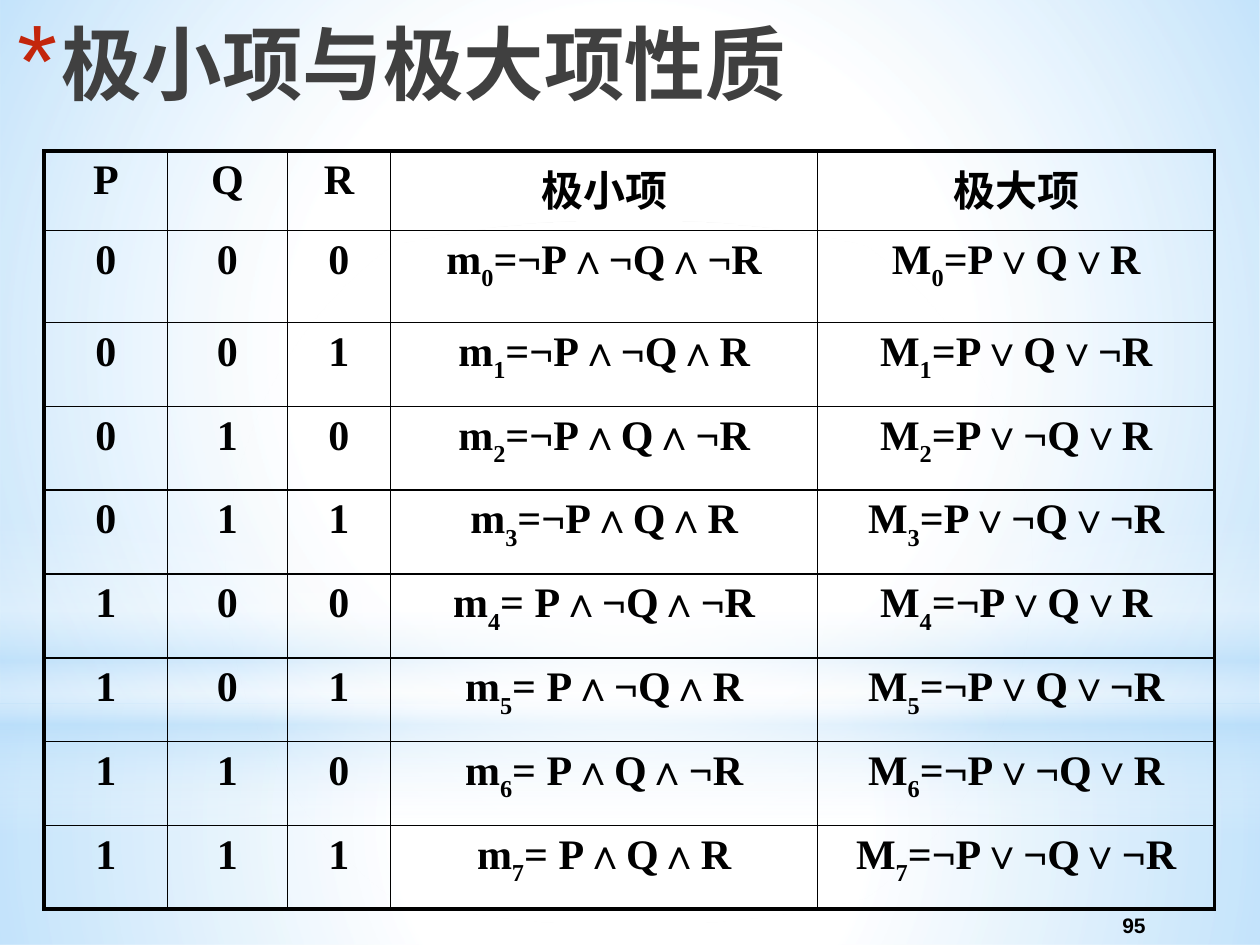
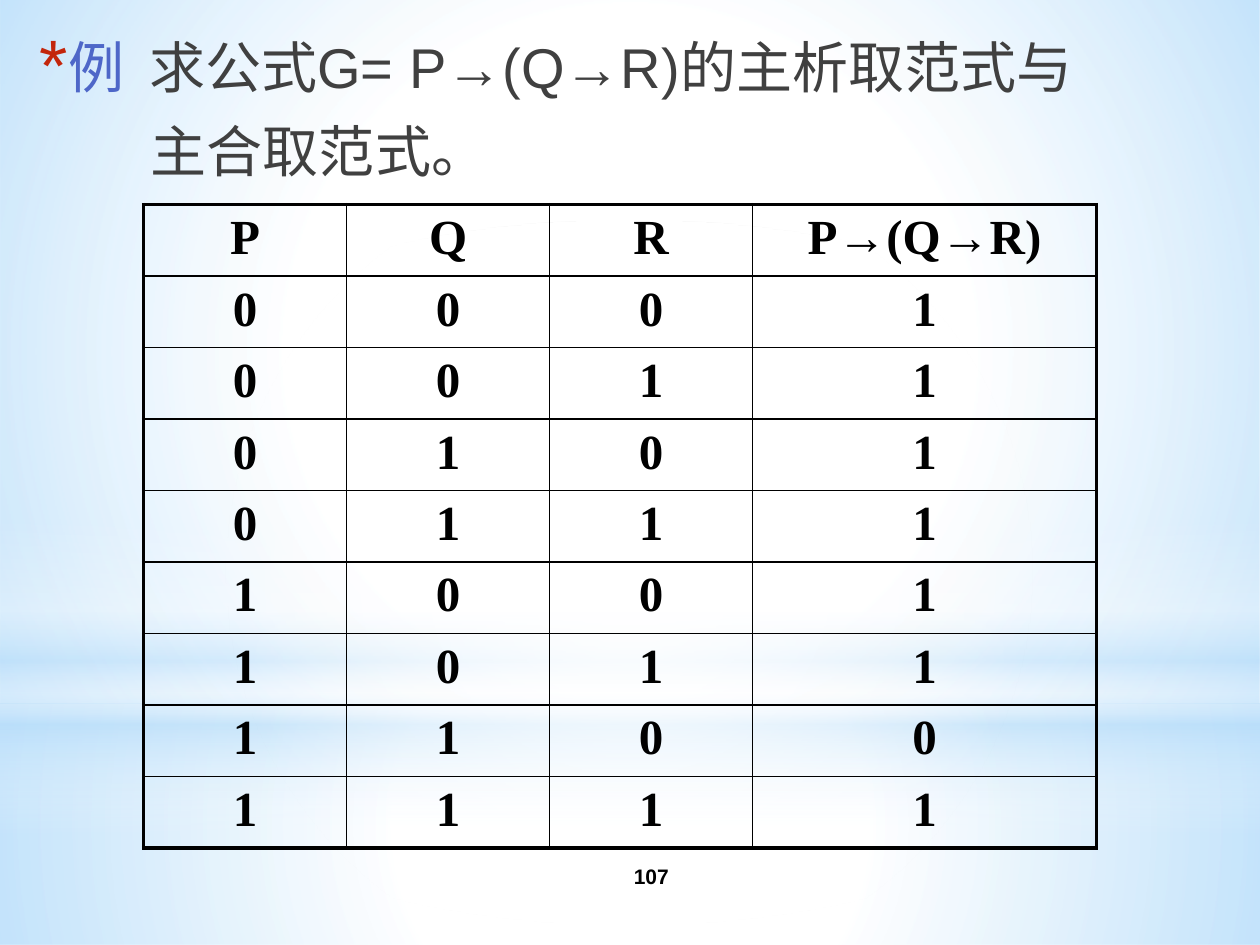
from itertools import product

from pptx import Presentation
from pptx.dml.color import RGBColor
from pptx.enum.shapes import MSO_SHAPE
from pptx.enum.text import MSO_ANCHOR, PP_ALIGN
from pptx.oxml import parse_xml
from pptx.oxml.ns import nsdecls, qn
from pptx.util import Pt

RECT, OVAL = MSO_SHAPE.RECTANGLE, MSO_SHAPE.OVAL
MIDDLE, CENTER = MSO_ANCHOR.MIDDLE, PP_ALIGN.CENTER

BLACK, GRAY, BLUE, RED = "000000", "404040", "4E67C8", "C3260C"
WHITE, SKY = "FFFFFF", "B4DCFA"
SANS, SERIF = "Arial", "Times New Roman"
THICK, THIN = 2.25, 1

RADIAL = '<a:path path="circle"><a:fillToRect l="50000" t="50000" r="50000" b="50000"/></a:path>'
VERTICAL = '<a:lin ang="5400000" scaled="0"/>'
BANDS = [
    (RECT, (0, 401.8, 720, 138.2), RADIAL, [(0, WHITE, 91), (37, WHITE, 76), (100, SKY, 79)]),
    (RECT, (0, 0, 720, 401.8), RADIAL, [(0, WHITE, 89), (48, WHITE, 62), (100, SKY, 79)]),
    (RECT, (0, 296.6, 720, 180), VERTICAL,
     [(0, WHITE, 0), (29, WHITE, 30), (45, SKY, 40), (55, WHITE, 26), (65, SKY, 60), (100, WHITE, 0)]),
    (OVAL, (0, 126, 720, 401.8), RADIAL, [(0, WHITE, 100), (56, WHITE, 0)]),
]

VARIABLES = ["P", "Q", "R"]
VALUATIONS = list(product((0, 1), repeat=3))
TERMS_TITLE = "极小项与极大项性质"
TERMS_HEADER = VARIABLES + ["极小项", "极大项"]
TERMS_COLUMNS = [70.6, 68.4, 59, 244.1, 226.8]
TERMS_HEIGHTS = [45.4, 52.6] + [47.9] * 7
EXAMPLE_LABEL = "例 "
EXAMPLE_LINES = ["求公式G= P→(Q→R)的主析取范式与", "主合取范式。"]
TRUTH_HEADER = VARIABLES + ["P→(Q→R)"]
TRUTH_COLUMNS = [116] * 3 + [196.4]
TRUTH_HEIGHTS = [40.8] * 9


def rgb(color):
    return RGBColor.from_string(color)


def add_span(para, text, size, color, font=SANS, bold=False):
    span = para.add_run()
    span.text = text
    span.font.name = font
    span.font.size = Pt(size)
    span.font.bold = bold
    span.font.color.rgb = rgb(color)
    return span


def add_box(page, left, top, width, height):
    box = page.shapes.add_textbox(Pt(left), Pt(top), Pt(width), Pt(height))
    box.text_frame.word_wrap = True
    return box.text_frame


def set_indent(para, margin, first_line=0):
    props = para._p.get_or_add_pPr()
    props.set("marL", str(Pt(margin)))
    props.set("indent", str(Pt(first_line)))
    return props


def add_star(para, margin, hanging, percent):
    props = set_indent(para, margin, -hanging)
    for inner in (
        f'<a:buClr {nsdecls("a")}><a:srgbClr val="{RED}"/></a:buClr>',
        f'<a:buSzPct {nsdecls("a")} val="{percent * 1000}"/>',
        f'<a:buFont {nsdecls("a")} typeface="{SANS}"/>',
        f'<a:buChar {nsdecls("a")} char="*"/>',
    ):
        props.append(parse_xml(inner))


def add_band(page, kind, place, direction, stops):
    band = page.shapes.add_shape(kind, *map(Pt, place))
    band.shadow.inherit = False
    band.line.fill.background()
    band.fill.solid()
    marks = "".join(
        f'<a:gs pos="{position * 1000}"><a:srgbClr val="{color}">'
        f'<a:alpha val="{opacity * 1000}"/></a:srgbClr></a:gs>'
        for position, color, opacity in stops
    )
    gradient = parse_xml(
        f'<a:gradFill {nsdecls("a")} rotWithShape="1"><a:gsLst>{marks}</a:gsLst>{direction}</a:gradFill>'
    )
    props = band._element.spPr
    props.replace(props.find(qn("a:solidFill")), gradient)


def add_page(deck, number, number_left, number_top):
    page = deck.slides.add_slide(deck.slide_layouts[6])
    for band in BANDS:
        add_band(page, *band)
    frame = add_box(page, number_left, number_top, 144, 28.8)
    frame.vertical_anchor = MIDDLE
    para = frame.paragraphs[0]
    para.alignment = CENTER
    add_span(para, str(number), 12, BLACK, bold=True)
    return page


def set_borders(cell, widths):
    props = cell._tc.get_or_add_tcPr()
    for side, width in zip("LRTB", widths):
        props.append(parse_xml(
            f'<a:ln{side} {nsdecls("a")} w="{Pt(width)}"><a:solidFill>'
            f'<a:srgbClr val="{BLACK}"/></a:solidFill></a:ln{side}>'
        ))


def add_grid(page, left, top, columns, heights, rows, size):
    frame = page.shapes.add_table(
        len(heights), len(columns), Pt(left), Pt(top), Pt(sum(columns)), Pt(sum(heights))
    )
    table = frame.table
    table.first_row = table.horz_banding = False
    for column, width in zip(table.columns, columns):
        column.width = Pt(width)
    for row, height in zip(table.rows, heights):
        row.height = Pt(height)
    last_row, last_column = len(heights) - 1, len(columns) - 1
    for r, row in enumerate(rows):
        for c, content in enumerate(row):
            cell = table.cell(r, c)
            outer = (c == 0, c == last_column, r == 0, r == last_row)
            set_borders(cell, [THICK if edge else THIN for edge in outer])
            cell.fill.background()
            para = cell.text_frame.paragraphs[0]
            para.alignment = CENTER
            parts = content if isinstance(content, tuple) else (content,)
            for index, text in enumerate(parts):
                span = add_span(para, str(text), size, BLACK, SERIF, True)
                if index == 1:
                    span.font._element.set("baseline", "-30000")


def join_literals(bits, negated_bit, operator):
    return operator.join(
        "¬" + name if bit == negated_bit else name for name, bit in zip(VARIABLES, bits)
    )


def term_row(index, bits):
    equals = "= " if bits[0] else "="
    minterm = ("m", index, equals + join_literals(bits, 0, "∧"))
    maxterm = ("M", index, "=" + join_literals(bits, 1, "∨"))
    return [*bits, minterm, maxterm]


def add_terms_page(deck):
    page = add_page(deck, 95, 576, 514)
    title = add_box(page, 2.9, 4.3, 707.8, 90).paragraphs[0]
    add_star(title, 25.2, 25.2, 128)
    add_span(title, TERMS_TITLE, 46, GRAY, bold=True)
    rows = [TERMS_HEADER] + [term_row(i, bits) for i, bits in enumerate(VALUATIONS)]
    add_grid(page, 25.2, 86.4, TERMS_COLUMNS, TERMS_HEIGHTS, rows, 24)


def add_example_page(deck):
    page = add_page(deck, 107, 300.2, 486)
    frame = add_box(page, 12.2, 15.1, 696.2, 504.7)
    first, second = frame.paragraphs[0], frame.add_paragraph()
    add_star(first, 18, 14.4, 130)
    first.space_after = Pt(3)
    label = add_span(first, EXAMPLE_LABEL, 32, BLUE)
    label.font._element.set("spc", "350")
    set_indent(second, 67)
    second.space_before = Pt(6.4)
    for para, text in zip((first, second), EXAMPLE_LINES):
        add_span(para, text, 32, GRAY)
    rows = [TRUTH_HEADER] + [[p, q, r, int(not (p and q) or r)] for p, q, r in VALUATIONS]
    add_grid(page, 82.1, 116.9, TRUTH_COLUMNS, TRUTH_HEIGHTS, rows, 28)


def main():
    deck = Presentation()
    deck.slide_width, deck.slide_height = Pt(720), Pt(540)
    add_terms_page(deck)
    add_example_page(deck)
    deck.save("out.pptx")


if __name__ == "__main__":
    main()
